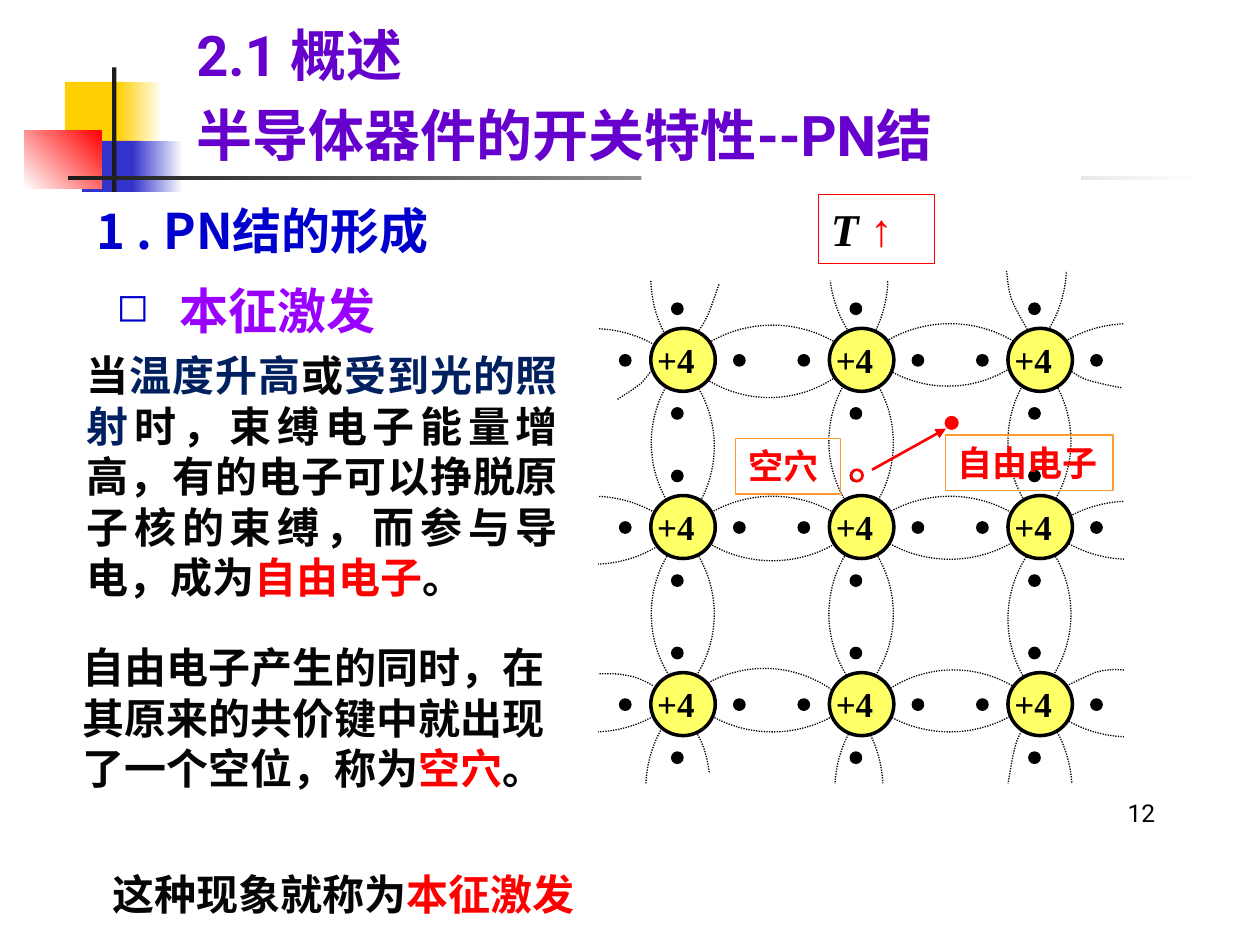
from dataclasses import dataclass
from typing import Optional

import lxml.etree
import pptx
import pptx.dml.color
import pptx.enum.dml
import pptx.enum.shapes
import pptx.enum.text
import pptx.oxml.ns
import pptx.util

Cm = pptx.util.Cm
Pt = pptx.util.Pt
qn = pptx.oxml.ns.qn
SHAPE = pptx.enum.shapes.MSO_SHAPE
ALIGN = pptx.enum.text.PP_ALIGN
ANCHOR = pptx.enum.text.MSO_ANCHOR
DOT_LINE = pptx.enum.dml.MSO_LINE.ROUND_DOT
TIMES, ROBOTO = "Times New Roman", "Roboto"
CJK_SC, CJK_JP = "Noto Sans CJK SC", "Noto Sans CJK JP"
INK, NAVY, RED, BLACK, WHITE = "050507", "002060", "FF0000", "000000", "FFFFFF"


@dataclass
class Run:
    text: str
    color: str
    italic: bool = False


@dataclass
class Block:
    box: tuple
    runs: list
    size: float
    font: str = TIMES
    bold: bool = True
    align: Optional[ALIGN] = None
    anchor: ANCHOR = ANCHOR.TOP
    line: Optional[str] = None
    width: float = 0.75
    fill: Optional[str] = None
    inset: float = 0.25
    spacing: Optional[float] = None
    bullet: Optional[str] = None


@dataclass
class Band:
    box: tuple
    start: str
    end: Optional[str] = None
    angle: float = 0


@dataclass
class EdgeBond:
    center: tuple
    mask: tuple
    upright: bool


def rgb(value: str) -> pptx.dml.color.RGBColor:
    return pptx.dml.color.RGBColor.from_string(value)


def style(sp, fill: Optional[str], line: Optional[str], width: float = 0.75, dotted: bool = False) -> None:
    sp.shadow.inherit = False
    if fill:
        sp.fill.solid()
        sp.fill.fore_color.rgb = rgb(fill)
    else:
        sp.fill.background()
    if line:
        sp.line.color.rgb = rgb(line)
        sp.line.width = Pt(width)
        if dotted:
            sp.line.dash_style = DOT_LINE
    else:
        sp.line.fill.background()


def add_shape(s, kind, box: tuple, fill=None, line=None, width=0.75, dotted=False):
    sp = s.shapes.add_shape(kind, *map(Cm, box))
    style(sp, fill, line, width, dotted)
    return sp


def add_centered(s, kind, center: tuple, size: tuple, **look):
    (x, y), (w, h) = center, size
    return add_shape(s, kind, (x - w / 2, y - h / 2, w, h), **look)


def add_band(s, band: Band) -> None:
    sp = add_shape(s, SHAPE.RECTANGLE, band.box, band.start)
    if band.end:
        sp.fill.gradient()
        sp.fill.gradient_angle = band.angle
        for stop, color in zip(sp.fill.gradient_stops, (band.start, band.end)):
            stop.color.rgb = rgb(color)


def add_text(s, b: Block) -> None:
    if b.line:
        sp = add_shape(s, SHAPE.RECTANGLE, b.box, b.fill, b.line, b.width)
    else:
        sp = s.shapes.add_textbox(*map(Cm, b.box))
    tf = sp.text_frame
    tf.word_wrap = True
    tf.vertical_anchor = b.anchor
    tf.margin_left = Cm(b.inset)
    p = tf.paragraphs[0]
    p.alignment = b.align or ALIGN.LEFT
    pPr = p._p.get_or_add_pPr()
    pPr.set("hangingPunct", "0")
    if b.spacing:
        p.line_spacing = b.spacing
    if b.bullet:
        pPr.set("marL", str(Cm(1.27)))
        pPr.set("indent", str(Cm(-1.27)))
        clr = lxml.etree.SubElement(pPr, qn("a:buClr"))
        lxml.etree.SubElement(clr, qn("a:srgbClr")).set("val", b.bullet)
        lxml.etree.SubElement(pPr, qn("a:buSzPct")).set("val", "80000")
        lxml.etree.SubElement(pPr, qn("a:buChar")).set("char", "◻")
    for run in b.runs:
        r = p.add_run()
        r.text = run.text
        r.font.size = Pt(b.size)
        r.font.name = b.font
        r.font.bold = b.bold
        r.font.italic = run.italic
        r.font.color.rgb = rgb(run.color)
        ea = lxml.etree.SubElement(r._r.get_or_add_rPr(), qn("a:ea"))
        ea.set("typeface", CJK_JP if b.font == CJK_JP else CJK_SC)


def add_curve(s, pts: list) -> None:
    fb = s.shapes.build_freeform(Cm(pts[0][0]), Cm(pts[0][1]))
    fb.add_line_segments([(Cm(x), Cm(y)) for x, y in pts[1:]], close=False)
    sp = fb.convert_to_shape()
    style(sp, None, BLACK, dotted=True)
    outline = next(sp._element.iter(qn("a:path")))
    legs = outline.findall(qn("a:lnTo"))
    for i in range(0, len(legs), 3):
        cubic = lxml.etree.SubElement(outline, qn("a:cubicBezTo"))
        for leg in legs[i:i + 3]:
            cubic.append(leg[0])
            outline.remove(leg)


def add_orbit(s, center: tuple, size: tuple = (4.88, 4.75)) -> None:
    add_centered(s, SHAPE.OVAL, center, size, line=BLACK, dotted=True)


def add_dot(s, x: float, y: float, fill=BLACK, line=BLACK, width=0.75) -> None:
    add_shape(s, SHAPE.OVAL, (x, y, 0.23, 0.23), fill, line, width)


def add_atom(s, x: float, y: float) -> None:
    add_shape(s, SHAPE.OVAL, (x, y, 1.3, 1.27), "FFFF66", BLACK, 2)
    for dx, dy in ((-0.63, 0.53), (0.42, 1.6), (1.67, 0.53), (0.42, -0.51)):
        add_dot(s, x + dx, y + dy)
    add_text(s, Block((x - 0.12, y + 0.08, 1.6, 1.09), [Run("+4", BLACK)], 20))


def add_arrow(s, start: tuple, end: tuple) -> None:
    c = s.shapes.add_connector(pptx.enum.shapes.MSO_CONNECTOR.STRAIGHT, *map(Cm, start + end))
    c.line.color.rgb = rgb(RED)
    c.line.width = Pt(1.5)
    lxml.etree.SubElement(c.line._get_or_add_ln(), qn("a:tailEnd")).set("type", "triangle")
    lxml.etree.SubElement(c._element.spPr, qn("a:effectLst"))


BANDS = [
    Band((1.31, 1.65, 1.22, 1.32), "FFCF01"),
    Band((2.37, 1.65, 0.91, 1.32), "FFCF01", WHITE),
    Band((1.65, 2.84, 1.17, 1.32), "3333CC"),
    Band((2.67, 2.84, 1.02, 1.32), "3333CC", WHITE),
    Band((0.49, 2.63, 1.55, 1.17), WHITE, RED, 45),
    Band((2.26, 1.36, 0.09, 2.92), "1C1C1C"),
    Band((1.37, 3.55, 22.86, 0.09), "1C1C1C", WHITE),
]
CURVES = [
    [(13.16, 13.82), (12.98, 13.72), (12.83, 13.64), (12.6, 13.61), (12.4, 13.56), (11.96, 13.59), (11.84, 13.59)],
    [(21.39, 7.34), (21.54, 7.44), (21.69, 7.57), (21.89, 7.65), (22.1, 7.72), (22.5, 7.8), (22.63, 7.82)],
    [(12.45, 8.05), (12.6, 7.95), (12.75, 7.87), (12.93, 7.72), (13.08, 7.57), (13.31, 7.21), (13.39, 7.11)],
    [(13.87, 6.88), (14, 6.76), (14.12, 6.65), (14.22, 6.45), (14.33, 6.25), (14.45, 5.84), (14.5, 5.72)],
    [(20.75, 14.53), (20.62, 14.68), (20.52, 14.83), (20.47, 15.04), (20.4, 15.27), (20.35, 15.67), (20.32, 15.8)],
    [(22.66, 13.51), (22.48, 13.49), (22.3, 13.49), (22.07, 13.56), (21.87, 13.64), (21.49, 13.84), (21.36, 13.89)],
    [(14.3, 15.57), (14.27, 15.44), (14.27, 15.34), (14.22, 15.19), (14.2, 15.06), (14.07, 14.81), (14.02, 14.73)],
    [(20.29, 5.46), (20.32, 5.66), (20.32, 5.84), (20.4, 6.05), (20.47, 6.25), (20.7, 6.6), (20.75, 6.73)],
]
EDGE_BONDS = [
    EdgeBond((19.11, 5.36), (19.15, 4.09), False), EdgeBond((15.51, 5.59), (15.57, 4.29), False),
    EdgeBond((11.96, 12.38), (10.69, 12.32), True), EdgeBond((11.96, 9), (10.69, 8.94), True),
    EdgeBond((15.41, 15.9), (15.34, 17.17), False), EdgeBond((19.22, 15.93), (19.15, 17.17), False),
    EdgeBond((22.76, 8.9), (24.03, 8.94), True), EdgeBond((22.76, 12.48), (24.03, 12.55), True),
]
INNER_BONDS = [(15.57, 8.93), (19.15, 8.9), (15.57, 12.38), (19.15, 12.38)]
ATOM_COLS, ATOM_ROWS = (13.12, 16.72, 20.32), (6.62, 9.99, 13.56)
TEXTS = [
    Block((1.5, 3.92, 9.4, 1.45), [Run("1 . PN结的形成", "0000CC")], 28, CJK_SC,
          line=WHITE, width=3, fill=WHITE, inset=0.45),
    Block((3.71, 0.33, 20.8, 1.57), [Run("2.1 概述", "6600CC")], 32, ROBOTO, anchor=ANCHOR.BOTTOM),
    Block((3.71, 1.93, 21.29, 1.57), [Run("半导体器件的开关特性--PN结", "6600CC")], 32, ROBOTO,
          anchor=ANCHOR.BOTTOM),
    Block((18.26, 15.54, 5.28, 1.27), [Run("12", BLACK)], 14, ROBOTO, False, ALIGN.RIGHT, ANCHOR.BOTTOM),
    Block((19.06, 8.77, 3.38, 1.12), [Run("自由电子", RED)], 20, line="FF9933"),
    Block((14.83, 8.84, 2.11, 1.12), [Run("空穴", RED)], 20, line="FF9933"),
    Block((16.5, 3.92, 2.34, 1.4), [Run("T ", BLACK, True), Run("↑", RED)], 26, line=RED),
    Block((2.1, 5.54, 8.61, 1.45), [Run("本征激发", "9900FF")], 28, CJK_JP, align=ALIGN.JUSTIFY,
          bullet="0000CC"),
    Block((1.5, 6.93, 10, 5.38), [
        Run("当", INK), Run("温度升高", NAVY), Run("或", INK), Run("受到光的照射", NAVY),
        Run("时，束缚电子能量增高，有的电子可以挣脱原子核的束缚，而参与导电，成为", INK),
        Run("自由电子", RED), Run("。", BLACK)], 24, align=ALIGN.JUSTIFY),
    Block((1.41, 12.81, 10.08, 3.33), [
        Run("自由电子产生的同时，在其原来的共价键中就出现了一个空位，称为", INK),
        Run("空穴", RED), Run("。", BLACK)], 24),
    Block((2.01, 17.12, 11.61, 1.55), [Run("这种现象就称为", INK), Run("本征激发", RED)], 24, spacing=1.25),
]


def main() -> None:
    prs = pptx.Presentation()
    prs.slide_width, prs.slide_height = Cm(25.4), Cm(19.05)
    s = prs.slides.add_slide(prs.slide_layouts[6])
    for band in BANDS:
        add_band(s, band)
    for curve in CURVES:
        add_curve(s, curve)
    for bond in EDGE_BONDS:
        add_orbit(s, bond.center, (4.88, 4.75) if bond.upright else (4.78, 4.85))
        size = (2.74, 5.28) if bond.upright else (5.28, 2.74)
        add_centered(s, SHAPE.RECTANGLE, bond.mask, size, fill=WHITE)
    for center in INNER_BONDS:
        add_orbit(s, center)
    for y in ATOM_ROWS:
        for x in ATOM_COLS:
            add_atom(s, x, y)
    add_dot(s, 17.16, 9.47, WHITE, RED, 1.5)
    add_dot(s, 19.07, 8.41, RED, RED, 1.5)
    add_arrow(s, (17.58, 9.47), (19.07, 8.64))
    for block in TEXTS:
        add_text(s, block)
    prs.save("out.pptx")


if __name__ == "__main__":
    main()
